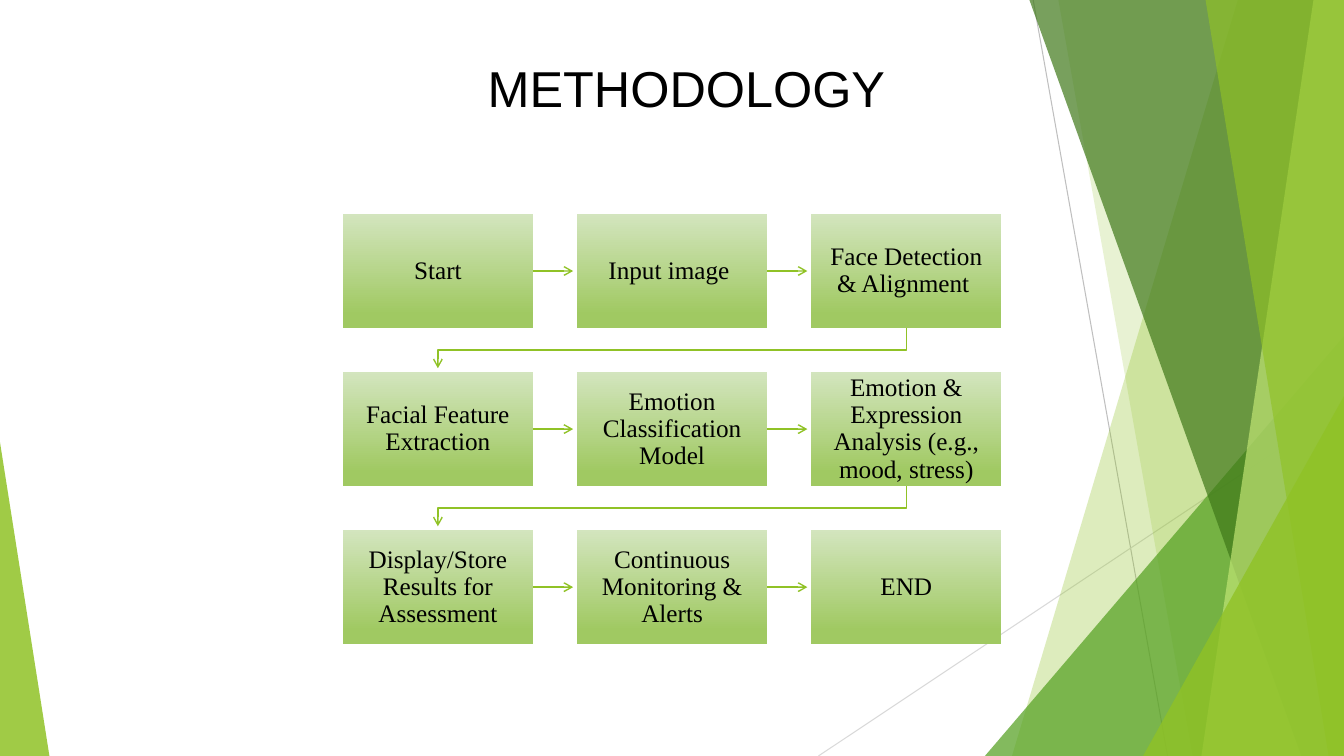
from dataclasses import dataclass

from lxml import etree
from pptx import Presentation
from pptx import util as u
from pptx.dml.color import RGBColor
from pptx.enum import shapes, text
from pptx.oxml.ns import qn

WIDTH, HEIGHT = 960, 540
GREEN, BLACK = "90C226", "000000"


@dataclass
class Band:
    """Slanted panel reaching the right edge of the slide."""
    top_x: float
    bottom_x: float
    colour: str
    alpha: int


@dataclass
class Corner:
    """Triangle standing on the bottom edge; apex 0 is left, 1 is right."""
    left: float
    top: float
    width: float
    apex: int
    colour: str
    alpha: int


@dataclass
class Ray:
    start: tuple[float, float]
    end: tuple[float, float]
    colour: str


RAYS = [
    Ray((738, 0), (834, HEIGHT), "BFBFBF"),
    Ray((WIDTH, 290), (584.6, HEIGHT), "D9D9D9"),
]
FACETS = [
    Band(884.2, 722.9, GREEN, 30),
    Band(756, 851.8, GREEN, 20),
    Corner(703.5, 240, 256.5, 1, "54A021", 72),
    Band(735.3, 929.5, "3F7819", 70),
    Band(938.2, 858.2, "C0E474", 70),
    Band(861.1, 949, GREEN, 65),
    Corner(816.5, 283, 143.5, 1, GREEN, 80),
    Corner(0, 316, 35.3, 0, GREEN, 85),
]
STEPS = [
    "Start", "Input image ", "Face Detection & Alignment ",
    "Facial Feature Extraction", "Emotion Classification Model",
    "Emotion & Expression Analysis (e.g., mood, stress)",
    "Display/Store Results for Assessment", "Continuous Monitoring & Alerts", "END",
]

# Flow grid
COLUMNS = 3
GRID_LEFT, GRID_TOP = 244.8, 152.8
STEP_W, STEP_H = 136, 81.6
PITCH_X, PITCH_Y = 167.3, 112.9
ARROW_GAP = 2.7  # space between an arrowhead and the next step


def rgb(colour: str) -> RGBColor:
    return RGBColor.from_string(colour)


def paint(shape, colour: str, alpha: int) -> None:
    shape.shadow.inherit = False
    shape.line.fill.background()
    shape.fill.solid()
    shape.fill.fore_color.rgb = rgb(colour)
    tint = shape.fill._xPr.find(qn("a:solidFill"))[0]
    etree.SubElement(tint, qn("a:alpha"), val=str(alpha * 1000))


def stroke(shape, colour: str, width: float, arrow: bool = False) -> None:
    shape.line.color.rgb = rgb(colour)
    shape.line.width = u.Pt(width)
    if arrow:
        etree.SubElement(shape.line._get_or_add_ln(), qn("a:tailEnd"), type="arrow")


def outline(slide, points: list[tuple[float, float]], close: bool):
    start, *rest = [(u.Pt(x), u.Pt(y)) for x, y in points]
    builder = slide.shapes.build_freeform(*start)
    builder.add_line_segments(rest, close=close)
    shape = builder.convert_to_shape()
    shape.shadow.inherit = False
    return shape


def draw_line(slide, start: tuple[float, float], end: tuple[float, float],
              colour: str, width: float, arrow: bool = False) -> None:
    line = slide.shapes.add_connector(
        shapes.MSO_CONNECTOR.STRAIGHT, *(u.Pt(v) for v in (*start, *end)))
    stroke(line, colour, width, arrow)
    etree.SubElement(line._element.spPr, qn("a:effectLst"))


def write(shape, words: str, *, size: float, font: str, align=text.PP_ALIGN.LEFT,
          anchor=text.MSO_ANCHOR.TOP, spacing: float = 1.0, inset: float | None = None) -> None:
    frame = shape.text_frame
    frame.word_wrap = True
    frame.vertical_anchor = anchor
    if inset is not None:
        frame.margin_left = frame.margin_right = u.Pt(inset)
        frame.margin_top = frame.margin_bottom = u.Pt(inset)
    paragraph = frame.paragraphs[0]
    paragraph.alignment = align
    paragraph.line_spacing = spacing
    run = paragraph.add_run()
    run.text = words
    run.font.size = u.Pt(size)
    run.font.name = font
    run.font.color.rgb = rgb(BLACK)


def draw_facet(slide, facet: Band | Corner) -> None:
    if isinstance(facet, Band):
        corners = [(facet.top_x, 0), (WIDTH, 0), (WIDTH, HEIGHT), (facet.bottom_x, HEIGHT)]
        shape = outline(slide, corners, close=True)
    else:
        shape = slide.shapes.add_shape(
            shapes.MSO_SHAPE.ISOSCELES_TRIANGLE, u.Pt(facet.left), u.Pt(facet.top),
            u.Pt(facet.width), u.Pt(HEIGHT - facet.top))
        shape.adjustments[0] = facet.apex
    paint(shape, facet.colour, facet.alpha)


def draw_step(slide, words: str, left: float, top: float) -> None:
    step = slide.shapes.add_shape(
        shapes.MSO_SHAPE.RECTANGLE, u.Pt(left), u.Pt(top), u.Pt(STEP_W), u.Pt(STEP_H))
    step.shadow.inherit = False
    step.line.fill.background()
    step.fill.gradient()
    step.fill.gradient_angle = 270
    for stop, position, colour in zip(step.fill.gradient_stops, (0, 0.88), ("D3E5BE", "A0C962")):
        stop.position = position
        stop.color.rgb = rgb(colour)
    write(step, words, size=18, font="Times New Roman", align=text.PP_ALIGN.CENTER,
          anchor=text.MSO_ANCHOR.MIDDLE, spacing=0.9, inset=10)


def draw_arrow(slide, column: int, left: float, top: float) -> None:
    """Lead to the next step: rightwards, or down to the start of the next row."""
    if column < COLUMNS - 1:
        middle = top + STEP_H / 2
        draw_line(slide, (left + STEP_W, middle), (left + PITCH_X - ARROW_GAP, middle),
                  GREEN, 1, arrow=True)
        return
    start_x, end_x = left + STEP_W / 2, GRID_LEFT + STEP_W / 2
    bottom, next_top = top + STEP_H, top + PITCH_Y
    turn = (bottom + next_top) / 2
    elbow = outline(slide, [(start_x, bottom), (start_x, turn), (end_x, turn),
                            (end_x, next_top - ARROW_GAP)], close=False)
    elbow.fill.background()
    stroke(elbow, GREEN, 1, arrow=True)


def main() -> None:
    deck = Presentation()
    deck.slide_width, deck.slide_height = u.Pt(WIDTH), u.Pt(HEIGHT)
    slide = deck.slides.add_slide(deck.slide_layouts[6])

    # Backdrop
    for ray in RAYS:
        draw_line(slide, ray.start, ray.end, ray.colour, 0.75)
    for facet in FACETS:
        draw_facet(slide, facet)

    # Flow of steps
    for index, words in enumerate(STEPS):
        row, column = divmod(index, COLUMNS)
        left, top = GRID_LEFT + column * PITCH_X, GRID_TOP + row * PITCH_Y
        if index < len(STEPS) - 1:
            draw_arrow(slide, column, left, top)
        draw_step(slide, words, left, top)

    # Title
    title = slide.shapes.add_textbox(u.Pt(341.3), u.Pt(37.4), u.Pt(302.4), u.Pt(51))
    write(title, "METHODOLOGY", size=36, font="Arial")

    deck.save("out.pptx")


if __name__ == "__main__":
    main()
